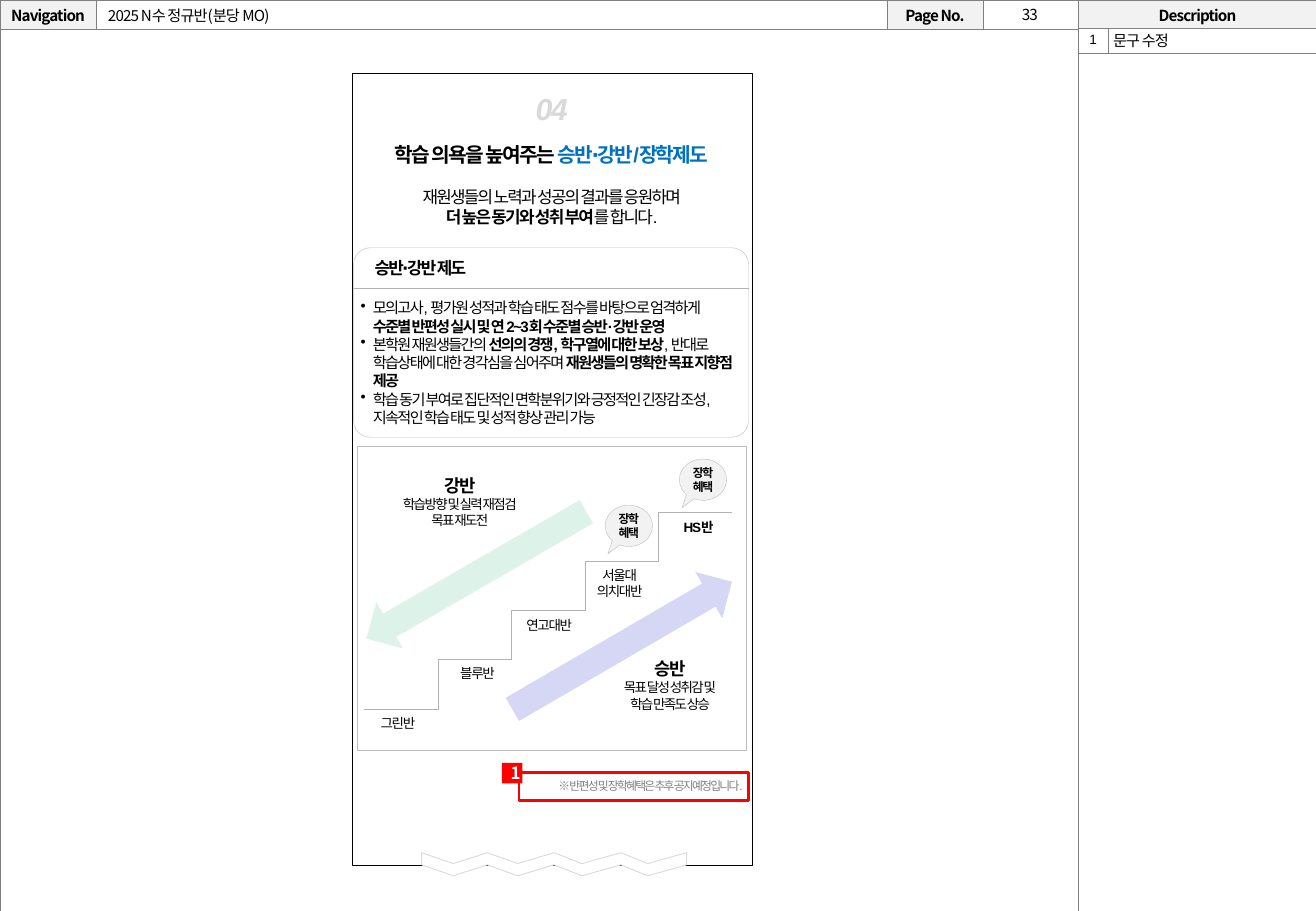
"""Builds the storyboard page on class promotion, demotion and scholarships."""
from lxml.etree import SubElement
from pptx import Presentation
from pptx.dml.color import RGBColor
from pptx.enum.shapes import MSO_CONNECTOR as CONNECTOR, MSO_SHAPE as SHAPE
from pptx.enum.text import MSO_ANCHOR as ANCHOR, PP_ALIGN as ALIGN
from pptx.oxml.ns import qn
from pptx.util import Inches, Pt

color = RGBColor.from_string
NOTO = "Noto Sans CJK KR"
BOLD, PLAIN = {"bold": True}, {"bold": False}


def write(frame, paragraphs, align=ALIGN.CENTER, spacing=-1, **base):
    """Fill a text frame; each paragraph is a list of (text, format) runs."""
    for index, runs in enumerate(paragraphs):
        paragraph = frame.paragraphs[0] if index == 0 else frame.add_paragraph()
        paragraph.alignment = align
        for text, changes in runs:
            run = paragraph.add_run()
            run.text = text
            values = {"name": "Arial", "size": 8, "color": "000000", **base, **changes}
            run.font.color.rgb = color(values.pop("color"))
            values["size"] = Pt(values["size"])
            for name, value in values.items():
                setattr(run.font, name, value)
            run.font._element.set("spc", str(round(spacing * 100)))


def add_shape(kind, box, fill=None, line=None, width=0.25):
    """Add a preset shape without shadow, with optional fill and line."""
    shape = slide.shapes.add_shape(kind, *map(Inches, box))
    shape.shadow.inherit = False
    if fill:
        shape.fill.solid()
        shape.fill.fore_color.rgb = color(fill)
    else:
        shape.fill.background()
    if line:
        shape.line.color.rgb = color(line)
        shape.line.width = Pt(width)
    else:
        shape.line.fill.background()
    return shape


presentation = Presentation()
presentation.slide_width, presentation.slide_height = Inches(10.83), Inches(7.5)
slide = presentation.slides.add_slide(presentation.slide_layouts[6])

tables = [
    ((0, 0, 10.84, 7.51), [0.79, 6.51, 0.79, 0.78, 1.97], [0.24, 7.27], 0, 0),
    ((8.87, 0.23, 1.96, 0.21), [0.25, 1.71], [0.21], 0.04, 0.02),
]
header_cells = {0: "Navigation", 2: "Page No.", 4: "Description"}
grids = []
for box, widths, heights, side_margin, end_margin in tables:
    grid = slide.shapes.add_table(len(heights), len(widths), *map(Inches, box)).table
    grid.first_row = grid.horz_banding = False
    grids.append(grid)
    for column, width in zip(grid.columns, widths):
        column.width = Inches(width)
    for row, height in zip(grid.rows, heights):
        row.height = Inches(height)
    for cell in grid.iter_cells():
        cell.vertical_anchor = ANCHOR.MIDDLE
        cell.margin_left = cell.margin_right = Inches(side_margin)
        cell.margin_top = cell.margin_bottom = Inches(end_margin)
        properties = cell._tc.get_or_add_tcPr()
        for side in "LRTB":
            border = SubElement(properties, qn(f"a:ln{side}"), w=str(Pt(0.25)))
            solid = SubElement(border, qn("a:solidFill"))
            SubElement(solid, qn("a:srgbClr"), val="808080")
        cell.fill.solid()
        cell.fill.fore_color.rgb = color("FFFFFF")

page_grid, note_grid = grids
page_grid.cell(1, 0).merge(page_grid.cell(1, 3))
for column, label in header_cells.items():
    cell = page_grid.cell(0, column)
    cell.fill.fore_color.rgb = color("F2F2F2")
    write(cell.text_frame, [[(label, BOLD)]], spacing=-0.5, name=NOTO, size=9)
for cell in page_grid.iter_cells():
    if not cell.text_frame.text:
        SubElement(cell.text_frame.paragraphs[0]._p, qn("a:endParaRPr"), sz="900")
write(note_grid.cell(0, 0).text_frame, [[("1", {})]])
write(note_grid.cell(0, 1).text_frame, [[("문구 수정", {})]],
      align=ALIGN.LEFT, spacing=-0.5, size=9)
for cell in note_grid.iter_cells():
    cell.text_frame.paragraphs[0].line_spacing = 0.9

add_shape(SHAPE.RECTANGLE, (2.94, 3.67, 3.2, 2.51), "FFFFFF", "BFBFBF")
for left, top in [(5.59, 3.78), (4.98, 4.16)]:
    callout = add_shape(SHAPE.OVAL_CALLOUT, (left, top, 0.39, 0.34), "F2F2F2", "BFBFBF")
    callout.adjustments[0], callout.adjustments[1] = -0.441, 0.674
    callout.text_frame.word_wrap = False
    callout.text_frame.vertical_anchor = ANCHOR.MIDDLE
    write(callout.text_frame, [[("장학", BOLD)], [("혜택", BOLD)]], spacing=-0.8, size=7)

card = add_shape(SHAPE.ROUNDED_RECTANGLE, (2.91, 2.04, 3.25, 1.56), "FFFFFF", "BFBFBF")
card.adjustments[0] = 0.088

step_width, step_height = 0.605, 0.405
lines = [(CONNECTOR.STRAIGHT, 2.91, 2.37, 6.16, 2.37)]
for step in range(4):
    left, top = 3 + step * step_width, 5.43 - step * step_height
    lines.append((CONNECTOR.ELBOW, left + 2 * step_width, top, left, top + step_height))
for kind, *ends in lines:
    connector = slide.shapes.add_connector(kind, *map(Inches, ends))
    connector.line.color.rgb = color("B2B2B2")
    connector.line.width = Pt(0.25)
    SubElement(connector._element.spPr, qn("a:effectLst"))

add_shape(SHAPE.RECTANGLE, (2.9, 0.6, 3.29, 6.52), line="000000")
tear_x = [3.47, 3.73, 4.01, 4.26, 4.56, 4.79, 5.11, 5.33, 5.65]
lower = [(x, 7.21 if index % 2 else 7.12) for index, x in enumerate(tear_x)]
upper = [(x, y - 0.1) for x, y in reversed(lower)]
points = [(Inches(x), Inches(y)) for x, y in lower + upper]
builder = slide.shapes.build_freeform(*points[0])
builder.add_line_segments(points[1:], close=True)
tear = builder.convert_to_shape()
tear.shadow.inherit = False
tear.fill.solid()
tear.fill.fore_color.rgb = color("FFFFFF")
tear.line.color.rgb = color("D9D9D9")
tear.line.width = Pt(0.5)

for left, top, angle, fill in [(4.9, 4.27, 59.8, "D6D6F5"), (3.7, 3.69, 240, "DDF3EA")]:
    add_shape(SHAPE.UP_ARROW, (left, top, 0.44, 2.09), fill).rotation = angle

headline = [
    [("학습 의욕을 높여주는 ", {"size": 12, **BOLD}),
     ("승반∙강반/장학제도", {"size": 12, "color": "0070C0", **BOLD})],
    [("재원생들의 노력과 성공의 결과를 응원하며", {})],
    [("더 높은 동기와 성취 부여", BOLD), ("를 합니다.", {})],
]
rules = [
    [("모의고사, 평가원 성적과 학습 태도 점수를 바탕으로 엄격하게 ", PLAIN),
     ("수준별 반편성 실시 및 연 2~3회 수준별 승반·강반 운영", BOLD)],
    [("본학원 재원생들간의 ", PLAIN), ("선의의 경쟁, 학구열에 대한 보상", BOLD),
     (", 반대로 학습상태에 대한 경각심을 심어주며 ", PLAIN),
     ("재원생들의 명확한 목표 지향점 제공", BOLD)],
    [("학습 동기 부여로 집단적인 면학분위기와 긍정적인 긴장감 조성, "
      "지속적인 학습 태도 및 성적 향상 관리 가능", PLAIN)],
]
move_title = {"size": 10.5, **BOLD}
promotion = [[("승반", move_title)], [("목표 달성 성취감 및", {})], [("학습 만족도 상승", {})]]
demotion = [[("강반", move_title)], [("학습방향 및 실력 재점검", {})], [("목표 재도전", {})]]
header = {"name": NOTO, "size": 9, "spacing": -0.5}
label = {"spacing": -0.8}
texts = [
    ((8.09, -0.01, 0.77, 0.25), [[("33", {})]], header),
    ((0.79, 0.01, 6.52, 0.23), [[("2025 N수 정규반(분당 MO)", {})]],
     {**header, "align": ALIGN.LEFT}),
    ((2.92, 5.84, 0.71, 0.24), [[("그린반", {})]], label),
    ((3.59, 5.43, 0.68, 0.24), [[("블루반", {})]], label),
    ((4.18, 5.03, 0.68, 0.24), [[("연고대반", {})]], label),
    ((4.76, 4.62, 0.68, 0.37), [[("서울대", {})], [("의치대반", {})]], label),
    ((5.41, 4.22, 0.68, 0.24), [[("HS반", BOLD)]], label),
    ((2.77, 1.12, 3.54, 0.81), headline, {"size": 10}),
    ((2.68, 2.07, 1.56, 0.27), [[("승반∙강반 제도", BOLD)]], {"size": 10}),
    ((4.31, 0.69, 0.87, 0.4), [[("04", {"italic": True, **BOLD})]],
     {"size": 18, "color": "D9D9D9", "align": ALIGN.LEFT}),
    ((3.64, 6.36, 2.57, 0.22), [[("※ 반편성 및 장학혜택은 추후 공지예정입니다.", {})]],
     {"size": 7, "color": "808080", "align": ALIGN.RIGHT}),
    ((2.87, 2.41, 3.31, 1.16), rules, {"size": 9, "align": ALIGN.LEFT}),
    ((4.85, 5.37, 1.33, 0.55), promotion, {}),
    ((3.12, 3.86, 1.33, 0.55), demotion, {}),
]
for box, paragraphs, values in texts:
    frame = slide.shapes.add_textbox(*map(Inches, box)).text_frame
    frame.word_wrap = True
    if values.get("name") == NOTO:
        frame.vertical_anchor = ANCHOR.MIDDLE
    write(frame, paragraphs, **values)
    if paragraphs is headline:
        frame.paragraphs[1].space_before = Pt(12)
    if paragraphs is rules:
        for paragraph in frame.paragraphs:
            properties = paragraph._p.get_or_add_pPr()
            properties.set("marL", str(Inches(0.1)))
            properties.set("indent", str(Inches(-0.1)))
            SubElement(properties, qn("a:buChar"), char="•")

add_shape(SHAPE.RECTANGLE, (4.27, 6.36, 1.89, 0.23), line="FF0000", width=1.5)
marker = add_shape(SHAPE.RECTANGLE, (4.13, 6.28, 0.17, 0.17), "FF0000")
marker.text_frame.vertical_anchor = ANCHOR.MIDDLE
write(marker.text_frame, [[("1", BOLD)]], spacing=0, name=NOTO, size=10, color="FFFFFF")

presentation.save("out.pptx")
